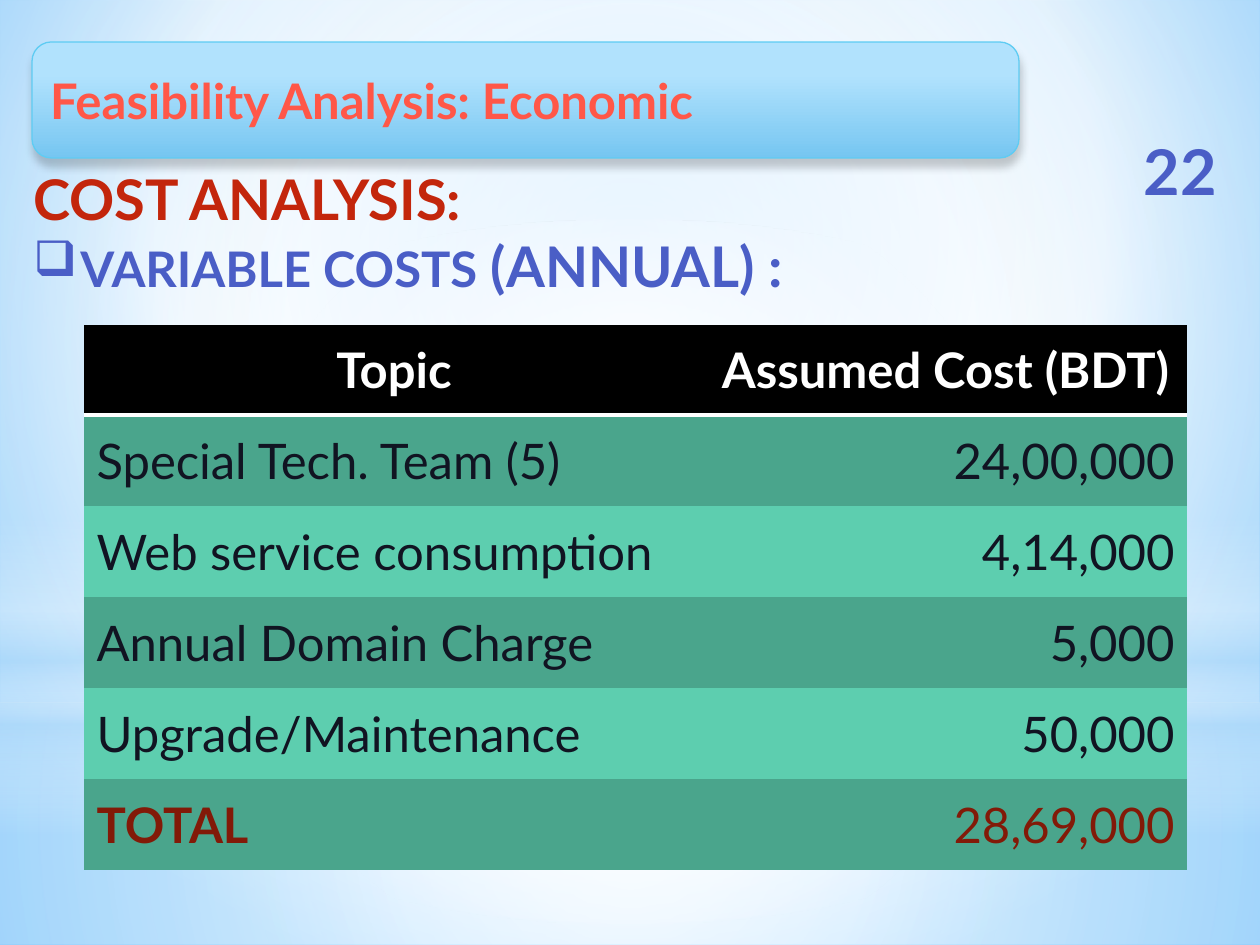
from lxml import etree
from pptx import Presentation
from pptx.dml.color import RGBColor
from pptx.enum import shapes, text
from pptx.oxml import parse_xml
from pptx.oxml.ns import qn
from pptx.util import Emu, Pt

NS = 'xmlns:a="http://schemas.openxmlformats.org/drawingml/2006/main"'
SCALE = 914400 / 126
FONT = "Lato"
RED, BLUE, DARK, TOTAL = "C3260C", "4A5EC6", "111422", "821A08"
CENTRE = (50, 50, 50, 50)
LEFT, MID, RIGHT = text.PP_ALIGN.LEFT, text.PP_ALIGN.CENTER, text.PP_ALIGN.RIGHT

ROWS = [
    ("Topic", "Assumed Cost (BDT)"),
    ("Special Tech. Team (5)", "24,00,000"),
    ("Web service consumption", "4,14,000"),
    ("Annual Domain Charge", "5,000"),
    ("Upgrade/Maintenance", "50,000"),
    ("TOTAL", "28,69,000"),
]

# Background layers: shape, box, stops (position, colour, opacity), focus
LAYERS = [
    ("RECTANGLE", (0, 703, 1260, 242),
     [(0, "FFFFFF", 91), (37, "FFFFFF", 76), (100, "B4DCFA", 79)], CENTRE),
    ("RECTANGLE", (0, 0, 1260, 703),
     [(0, "FFFFFF", 89), (48, "FFFFFF", 62), (100, "B4DCFA", 79)], CENTRE),
    ("RECTANGLE", (0, 519, 1260, 315),
     [(0, "FFFFFF", 0), (29, "FFFFFF", 30), (45, "B4DCFA", 40),
      (55, "FFFFFF", 26), (65, "B4DCFA", 60), (100, "FFFFFF", 0)], None),
    ("OVAL", (0, 220, 1260, 703),
     [(0, "FFFFFF", 100), (56, "FFFFFF", 0)], CENTRE),
]


def px(n):
    return Emu(round(n * SCALE))


def box(*lengths):
    return [px(n) for n in lengths]


def rgb(value):
    return RGBColor.from_string(value)


def set_gradient(parent, stops, focus=None):
    """Swap the solid fill of parent for a radial or top-down gradient."""
    gs = "".join(
        f'<a:gs pos="{pos * 1000}"><a:srgbClr val="{colour}">'
        f'<a:alpha val="{alpha * 1000}"/></a:srgbClr></a:gs>'
        for pos, colour, alpha in stops)
    if focus:
        sides = " ".join(f'{k}="{v * 1000}"' for k, v in zip("ltrb", focus))
        way = f'<a:path path="circle"><a:fillToRect {sides}/></a:path>'
    else:
        way = '<a:lin ang="5400000" scaled="0"/>'
    grad = parse_xml(f'<a:gradFill {NS} rotWithShape="1">'
                     f'<a:gsLst>{gs}</a:gsLst>{way}</a:gradFill>')
    parent.replace(parent.find(qn("a:solidFill")), grad)


def add_gradient_shape(slide, kind, bounds, stops, focus=None):
    sp = slide.shapes.add_shape(getattr(shapes.MSO_SHAPE, kind), *box(*bounds))
    sp.shadow.inherit = False
    sp.line.fill.background()
    sp.fill.solid()
    set_gradient(sp.element.spPr, stops, focus)
    return sp


def add_run(p, words, size, colour, bold=True):
    r = p.add_run()
    r.text = words
    for name, value in dict(name=FONT, size=Pt(size), bold=bold).items():
        setattr(r.font, name, value)
    r.font.color.rgb = rgb(colour)


def add_text_box(slide, bounds, anchor):
    tf = slide.shapes.add_textbox(*box(*bounds)).text_frame
    tf.word_wrap = True
    tf.vertical_anchor = anchor
    return tf


def add_background(slide):
    slide.background.fill.solid()
    bg = slide.element.find(".//" + qn("p:bgPr"))
    set_gradient(bg, [(0, "9ED5FF", 100), (60, "FFFFFF", 100),
                      (100, "5BB9FF", 100)], (20, 10, 20, 60))
    for layer in LAYERS:
        add_gradient_shape(slide, *layer)


def add_title(slide):
    sp = add_gradient_shape(slide, "ROUNDED_RECTANGLE", (32, 42, 987, 116),
                            [(28, "B1E2FD", 100), (100, "76C6F1", 100)])
    sp.line.color.rgb = rgb("5ECCF3")
    sp.line.width = Pt(0.75)
    effects = sp.element.spPr.find(qn("a:effectLst"))
    effects.append(parse_xml(
        f'<a:outerShdw {NS} blurRad="{Pt(5)}" dist="{Pt(4)}" dir="5400000" '
        'rotWithShape="0"><a:srgbClr val="000000"><a:alpha val="20000"/>'
        '</a:srgbClr></a:outerShdw>'))
    tf = sp.text_frame
    tf.vertical_anchor = text.MSO_ANCHOR.MIDDLE
    p = tf.paragraphs[0]
    p.alignment = LEFT
    add_run(p, "Feasibility Analysis: Economic", 28, "FF5748")


def add_page_number(slide):
    tf = add_text_box(slide, (1119, 136, 123, 68), text.MSO_ANCHOR.MIDDLE)
    p = tf.paragraphs[0]
    p.alignment = MID
    add_run(p, "22", 36, BLUE)


def add_headings(slide):
    tf = add_text_box(slide, (21, 158, 1205, 149), text.MSO_ANCHOR.TOP)
    add_run(tf.paragraphs[0], "COST ANALYSIS:", 32, RED)
    p = tf.add_paragraph()
    add_run(p, "VARIABLE COSTS", 28, BLUE)
    add_run(p, " (ANNUAL) :", 32, BLUE)
    # Hanging bullet
    pPr = p._p.get_or_add_pPr()
    pPr.set("marL", str(px(47)))
    pPr.set("indent", str(-px(47)))
    etree.SubElement(pPr, qn("a:buChar")).set("char", "\u2751")


def set_bottom_border(cell, colour, width):
    tcPr = cell._tc.get_or_add_tcPr()
    tcPr.insert(0, parse_xml(
        f'<a:lnB {NS} w="{Pt(width)}"><a:solidFill>'
        f'<a:srgbClr val="{colour}"/></a:solidFill></a:lnB>'))


def add_cost_table(slide):
    frame = slide.shapes.add_table(len(ROWS), 2, *box(84, 325, 1103, 545))
    table = frame.table
    table.first_row = table.horz_banding = False
    style = table._tbl.tblPr.find(qn("a:tableStyleId"))
    style.text = "{2D5ABB26-0587-4C30-8999-92F81FD0307C}"
    for col, width in zip(table.columns, (620, 483)):
        col.width = px(width)
    for i, row in enumerate(ROWS):
        table.rows[i].height = px(91 if i else 90)
        header, total = i == 0, i == len(ROWS) - 1
        fill = "000000" if header else ("5DCEAF", "4AA58C")[i % 2]
        colour = "FFFFFF" if header else TOTAL if total else DARK
        for j, words in enumerate(row):
            cell = table.cell(i, j)
            cell.fill.solid()
            cell.fill.fore_color.rgb = rgb(fill)
            cell.vertical_anchor = text.MSO_ANCHOR.MIDDLE
            p = cell.text_frame.paragraphs[0]
            p.alignment = MID if header else (LEFT, RIGHT)[j]
            add_run(p, words, 28, colour, header or (total and j == 0))
            if header:
                set_bottom_border(cell, "FFFFFF", 2)


def main():
    prs = Presentation()
    prs.slide_width, prs.slide_height = box(1260, 945)
    slide = prs.slides.add_slide(prs.slide_layouts[6])
    add_background(slide)
    add_title(slide)
    add_page_number(slide)
    add_headings(slide)
    add_cost_table(slide)
    prs.save("out.pptx")


main()
